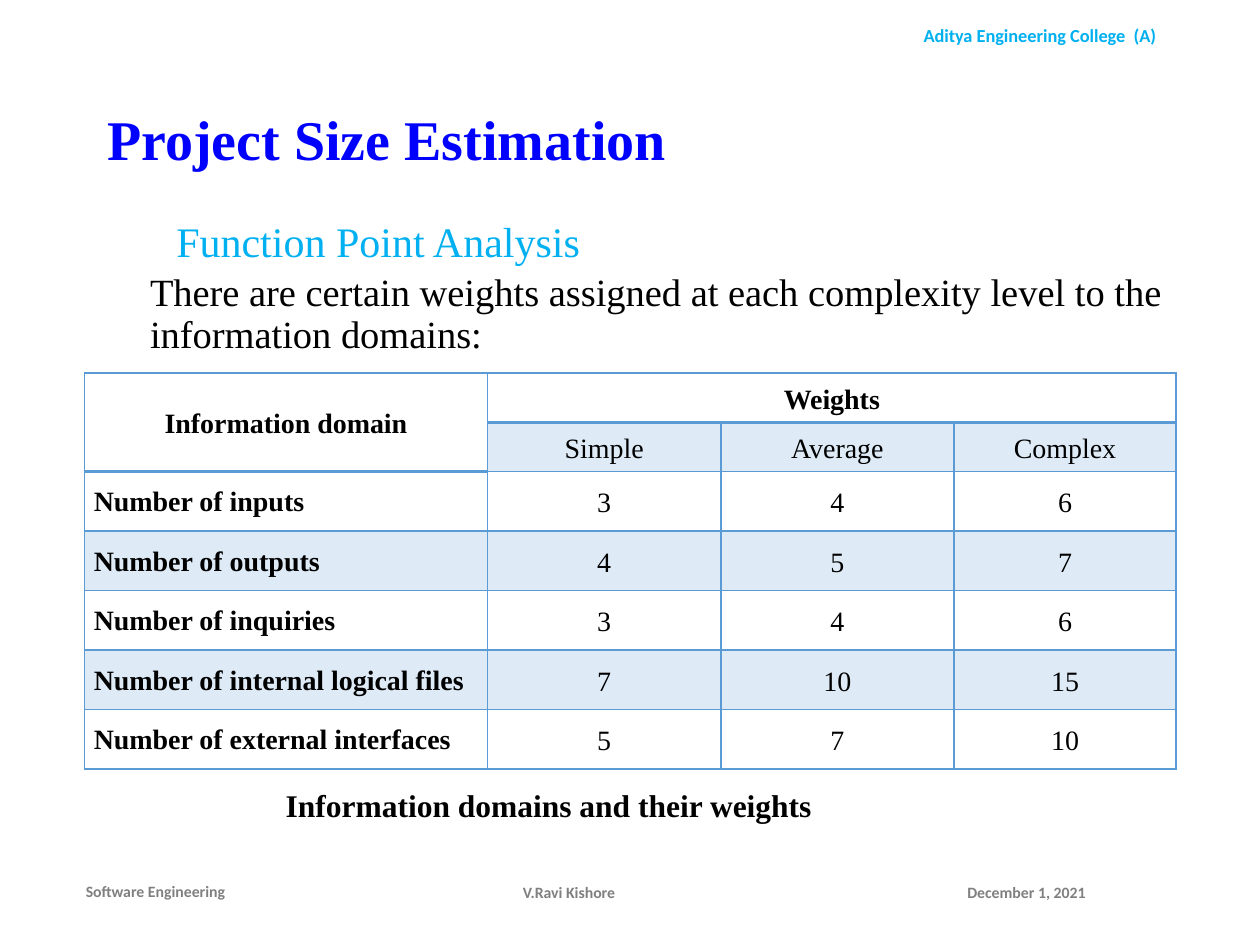
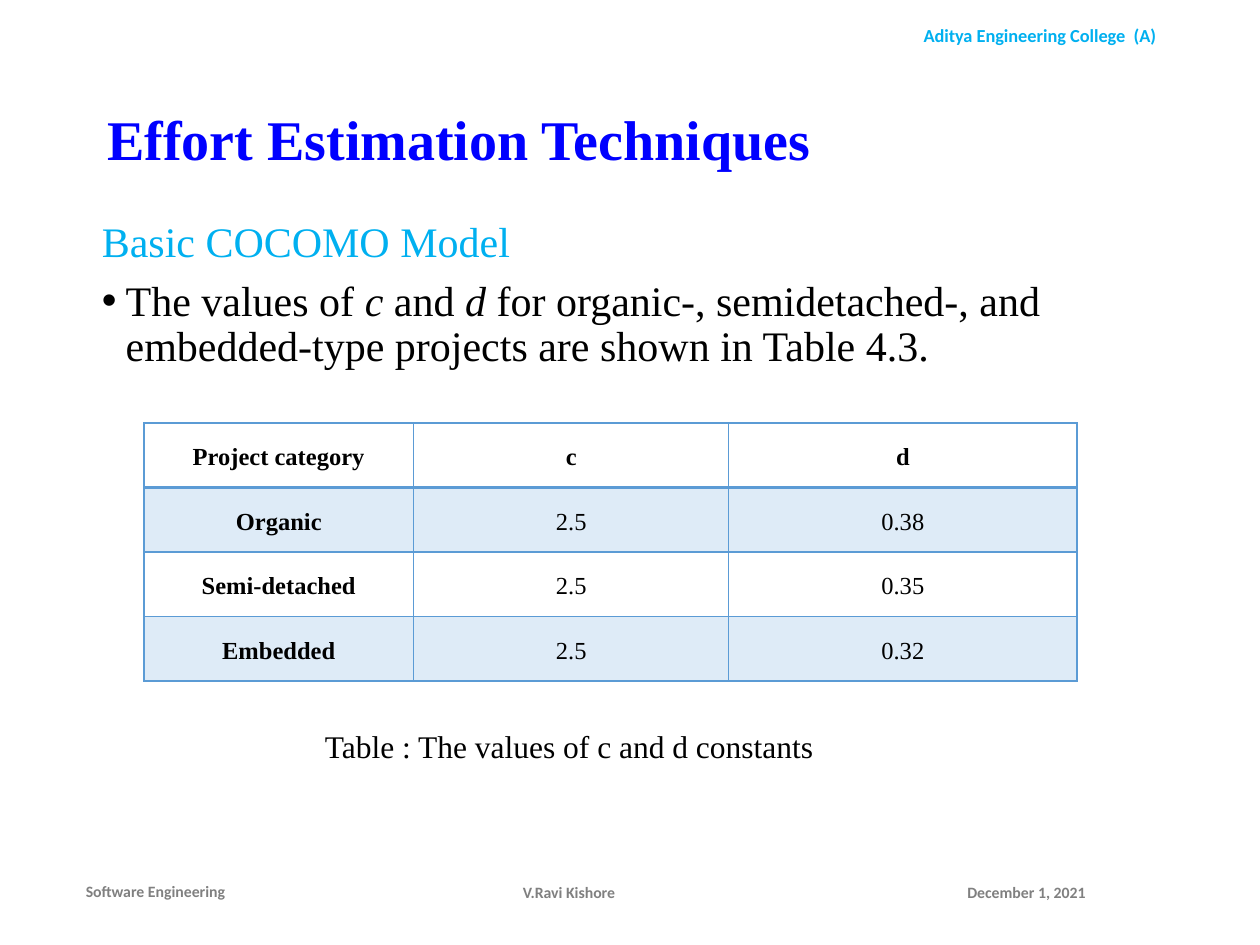
from lxml.etree import SubElement as Sub
from pptx import Presentation as Deck
from pptx.dml.color import RGBColor as RGB
from pptx.enum.text import MSO_ANCHOR as Anchor, MSO_AUTO_SIZE as Auto, PP_ALIGN as Align
from pptx.oxml.ns import qn
from pptx.util import Cm, Pt

BLUE = RGB(0x00, 0x00, 0xFF)
SKY = RGB(0x00, 0xB0, 0xF0)
GRAY = RGB(0x80, 0x80, 0x80)
BLACK = RGB(0x00, 0x00, 0x00)
EDGE = RGB(0x5B, 0x9B, 0xD5)
PALE = RGB(0xDE, 0xEB, 0xF7)

SERIF = "Times New Roman"
SANS = "Calibri"
FOOT = dict(font=SANS, size=9, color=GRAY, bold=True)
MID = dict(vertical_anchor=Anchor.MIDDLE)

BANDS = [
    ("Aditya Engineering College  (A)", (17.32, 0.36, 7.29, 0.71), Align.CENTER,
     dict(FOOT, size=10.5, color=SKY), {}),
    ("Software Engineering", (1.55, 17.45, 4.01, 1.02), Align.JUSTIFY, FOOT,
     dict(MID, margin_left=Cm(0.18), margin_right=Cm(0.18))),
    ("V.Ravi Kishore", (8.61, 17.48, 5.72, 1.02), Align.CENTER, FOOT, MID),
    ("December 1, 2021", (19.25, 17.48, 4.39, 1.02), Align.LEFT, FOOT, MID),
]


def apply(item, values):
    for name, value in values.items():
        setattr(item, name, value)


class Maker:
    def __init__(self):
        self.deck = Deck()
        self.deck.slide_width, self.deck.slide_height = Cm(25.4), Cm(19.05)
        self.slide = None

    def page(self, title):
        self.slide = self.deck.slides.add_slide(self.deck.slide_layouts[1])
        for text, box, align, look, frame in BANDS:
            self.label(text, box, align, look, frame)
        self.title(title)

    def place(self, shape, box):
        apply(shape, dict(zip(("left", "top", "width", "height"), map(Cm, box))))

    def words(self, para, text, size, color, font=SERIF, bold=False):
        for i, part in enumerate(text.split("*")):
            run = para.add_run()
            run.text = part
            apply(run.font, dict(name=font, size=Pt(size), bold=bold, italic=i % 2 == 1))
            run.font.color.rgb = color

    def label(self, text, box, align, look, frame):
        body = self.slide.shapes.add_textbox(*map(Cm, box)).text_frame
        apply(body, dict(word_wrap=True, **frame))
        body.paragraphs[0].alignment = align
        self.words(body.paragraphs[0], text, **look)

    def title(self, text):
        shape = self.slide.shapes.title
        self.place(shape, (0, 1.02, 21.9, 3.68))
        apply(shape.text_frame, dict(MID, auto_size=Auto.NONE, margin_left=Cm(2.16)))
        para = shape.text_frame.paragraphs[0]
        apply(para, dict(alignment=Align.LEFT, line_spacing=0.9))
        self.words(para, text, size=32, color=BLUE, bold=True)

    def body(self, items):
        shape = self.slide.placeholders[1]
        self.place(shape, (1.8, 4.34, 21.9, 12.6))
        frame = shape.text_frame
        frame.auto_size = Auto.NONE
        for i, (text, size, color, level, left, hang, gap) in enumerate(items):
            para = frame.add_paragraph() if i else frame.paragraphs[0]
            props = para._p.get_or_add_pPr()
            props.set("marL", str(Cm(left)))
            props.set("indent", str(-Cm(hang)))
            if hang:
                Sub(props, qn("a:buFont"), typeface="Arial")
                Sub(props, qn("a:buChar"), char="•")
            else:
                Sub(props, qn("a:buNone"))
            apply(para, dict(level=level, line_spacing=0.9, space_before=Pt(gap),
                             alignment=Align.LEFT))
            self.words(para, text, size, color)

    def edges(self, cell, thick):
        props = cell._tc.get_or_add_tcPr()
        for side in "LRTB":
            line = Sub(props, qn("a:ln" + side), w=str(Pt(2 if side in thick else 1)))
            fill = Sub(line, qn("a:solidFill"))
            Sub(fill, qn("a:srgbClr"), val=str(EDGE))

    def table(self, spot, cols, highs, rows, heads, size, lead):
        box = (*spot, sum(cols), sum(highs))
        grid = self.slide.shapes.add_table(len(rows), len(cols), *map(Cm, box)).table
        apply(grid, dict(first_row=False, horz_banding=False))
        for col, width in zip(grid.columns, cols):
            col.width = Cm(width)
        for row, high in zip(grid.rows, highs):
            row.height = Cm(high)
        for r, row in enumerate(rows):
            for c, text in enumerate(row):
                cell, head = grid.cell(r, c), r < heads[c]
                side = lead and c == 0 and not head
                self.edges(cell, ("B" if head else "") + ("T" if r == heads[c] else ""))
                if r % 2 and not head:
                    cell.fill.solid()
                    cell.fill.fore_color.rgb = PALE
                else:
                    cell.fill.background()
                apply(cell, dict(margin_left=Cm(0.19), margin_right=Cm(0.19),
                                 margin_top=0, margin_bottom=0,
                                 vertical_anchor=Anchor.TOP if side else Anchor.MIDDLE))
                para = cell.text_frame.paragraphs[0]
                apply(para, dict(alignment=Align.LEFT if side else Align.CENTER,
                                 line_spacing=1.5 if side else 1.15))
                if text:
                    self.words(para, text, size, BLACK, bold=head or c == 0)
        return grid

    def note(self, text, box, bold):
        self.label(text, box, Align.LEFT, dict(size=18, color=BLACK, bold=bold), {})


def main():
    make = Maker()

    make.page("Project Size Estimation")
    make.body([
        ("Function Point Analysis", 24, SKY, 0, 1.5, 0, 0),
        ("There are certain weights assigned at each complexity level to the "
         "information domains:", 22, BLACK, 1, 0.97, 0, 3.8),
    ])
    grid = make.table((1.7, 7.52), (8.13, 4.7, 4.7, 4.48), [0.99] * 2 + [1.2] * 5, [
        ("Information domain", "Weights", "", ""),
        ("", "Simple", "Average", "Complex"),
        ("Number of inputs", "3", "4", "6"),
        ("Number of outputs", "4", "5", "7"),
        ("Number of inquiries", "3", "4", "6"),
        ("Number of internal logical files", "7", "10", "15"),
        ("Number of external interfaces", "5", "7", "10"),
    ], heads=(2, 1, 1, 1), size=16, lead=True)
    grid.cell(0, 0).merge(grid.cell(1, 0))
    grid.cell(0, 1).merge(grid.cell(0, 3))
    make.note("Information domains and their weights", (5.51, 15.72, 17, 1.02), True)

    make.page("Effort Estimation Techniques")
    make.body([
        ("Basic COCOMO Model", 24, SKY, 0, 0, 0, 0),
        ("The values of *c* and *d* for organic-, semidetached-, and embedded-type "
         "projects are shown in Table 4.3.", 24, BLACK, 0, 0.48, 0.48, 7.5),
    ])
    make.table((2.9, 8.53), (5.44, 6.35, 7.02), [1.3] * 4, [
        ("Project category", "c", "d"),
        ("Organic", "2.5", "0.38"),
        ("Semi-detached", "2.5", "0.35"),
        ("Embedded", "2.5", "0.32"),
    ], heads=(1, 1, 1), size=14, lead=False)
    make.note("Table : The values of c and d constants", (6.3, 14.53, 10.8, 1.02), False)

    make.deck.save("out.pptx")


if __name__ == "__main__":
    main()
